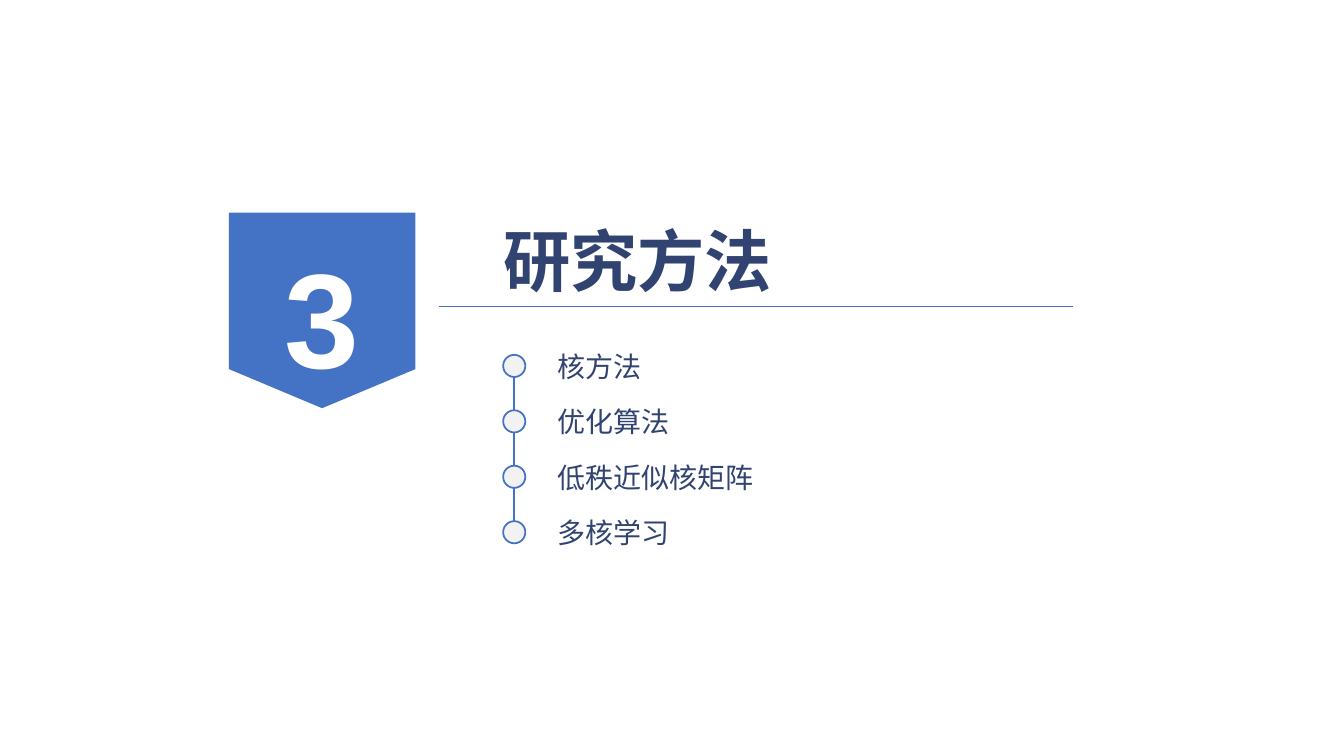
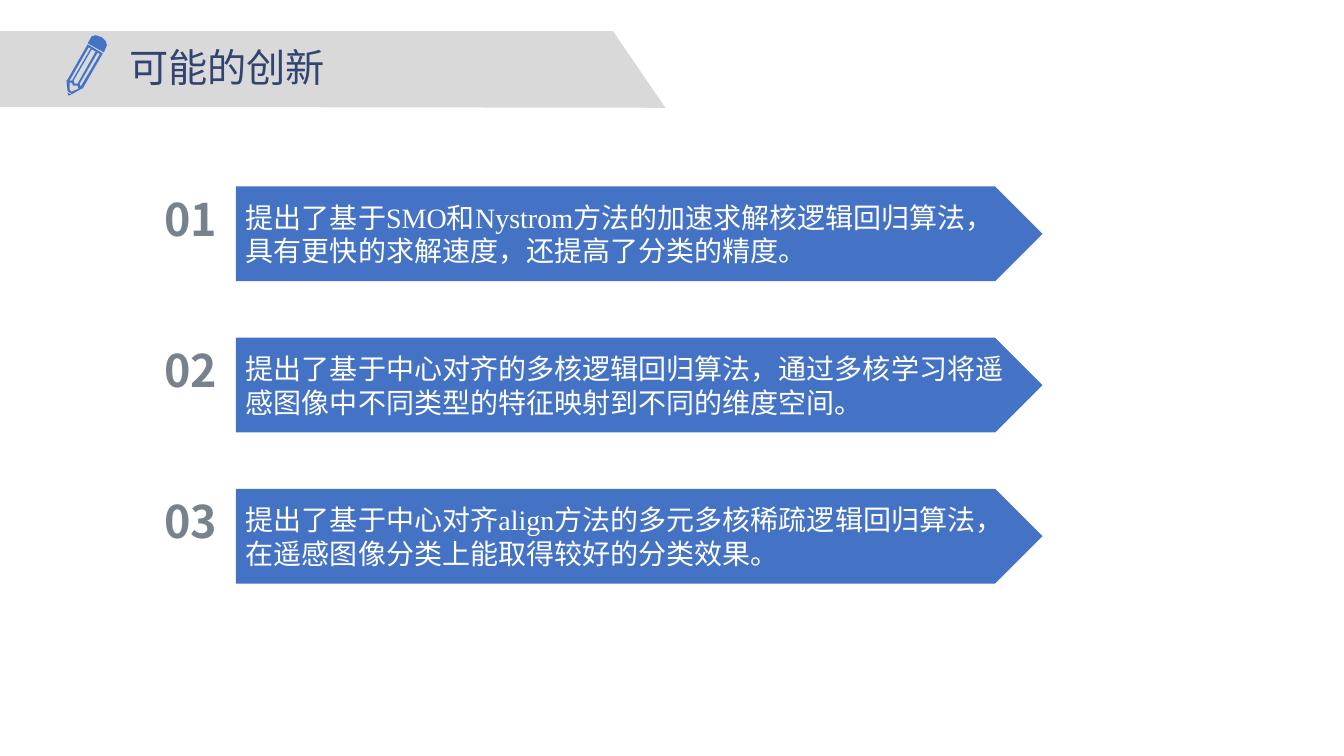
"""Build a section page and an innovations page that share one theme."""
import dataclasses
import typing

import pptx
import pptx.dml.color
import pptx.enum.shapes
import pptx.enum.text
import pptx.oxml.xmlchemy
import pptx.presentation
import pptx.shapes.autoshape
import pptx.slide
import pptx.util

Inches = pptx.util.Inches
Point = tuple[float, float]
Contour = list[Point]
Shapes = pptx.enum.shapes.MSO_SHAPE
Align = pptx.enum.text.PP_ALIGN
Anchor = pptx.enum.text.MSO_ANCHOR


@dataclasses.dataclass(frozen=True)
class Theme:
    blue: str = "4472C4"
    navy: str = "314371"
    grey: str = "78828C"
    band: str = "D9D9D9"
    dot: str = "F2F2F2"
    white: str = "FFFFFF"
    chinese: str = "Noto Sans CJK SC"
    latin: str = "Times New Roman"
    badge_font: str = "Arial"
    badge_size: int = 96
    section_size: int = 48
    number_size: int = 32
    title_size: int = 28
    body_size: int = 20


THEME = Theme()


@dataclasses.dataclass(frozen=True)
class Style:
    size: int
    color: str
    font: str = THEME.chinese
    bold: bool = False


@dataclasses.dataclass(frozen=True)
class Area:
    left: float
    top: float
    width: float
    height: float

    def lengths(self) -> tuple[int, int, int, int]:
        return (Inches(self.left), Inches(self.top),
                Inches(self.width), Inches(self.height))


@dataclasses.dataclass(frozen=True)
class Innovation:
    number: str
    phrases: tuple[str, ...]


BODY = Style(THEME.body_size, THEME.navy)
BAR = Style(THEME.body_size, THEME.white)
NUMBER = Style(THEME.number_size, THEME.grey, bold=True)
BADGE = Style(THEME.badge_size, THEME.white, THEME.badge_font, True)
SECTION_TITLE = Style(THEME.section_size, THEME.navy, bold=True)
PAGE_TITLE = Style(THEME.title_size, THEME.navy)

METHODS = ("核方法", "优化算法", "低秩近似核矩阵", "多核学习")
INNOVATIONS = (
    Innovation("01", ("提出了基于", "SMO", "和", "Nystrom",
                      "方法的加速求解核逻辑回归算法，具有更快的求解速度，还提高了分类的精度。")),
    Innovation("02", ("提出了基于中心对齐的多核逻辑回归算法，通过多核学习将遥感图像中不同类型的"
                      "特征映射到不同的维度空间。",)),
    Innovation("03", ("提出了基于中心对齐", "align",
                      "方法的多元多核稀疏逻辑回归算法，在遥感图像分类上能取得较好的分类效果。")),
)

BAND: list[Contour] = [[(0, 0.31), (6.08, 0.31), (6.6, 1.07), (0, 1.06)]]
PENCIL_ERASER: list[Contour] = [
    [(0.91, 0.36), (0.95, 0.35), (1.01, 0.37), (1.05, 0.41),
     (1.06, 0.45), (1.03, 0.52), (0.87, 0.43)],
]
PENCIL_BODY: list[Contour] = [
    [(0.66, 0.8), (0.67, 0.9), (0.68, 0.91), (0.71, 0.93), (0.72, 0.93),
     (0.81, 0.88), (0.82, 0.88), (1.02, 0.53), (0.87, 0.44), (0.67, 0.79)],
    [(0.69, 0.8), (0.88, 0.47), (0.9, 0.48), (0.72, 0.79), (0.71, 0.8)],
    [(0.71, 0.91), (0.69, 0.89), (0.69, 0.82), (0.71, 0.82), (0.73, 0.85),
     (0.77, 0.85), (0.78, 0.88)],
    [(0.73, 0.8), (0.91, 0.49), (0.95, 0.51), (0.77, 0.83), (0.74, 0.83)],
    [(0.8, 0.86), (0.79, 0.83), (0.97, 0.52), (0.99, 0.54)],
]
PENCIL_TIP: list[Contour] = [[(0.71, 0.94), (0.67, 0.92), (0.68, 0.95)]]


def color(code: str) -> pptx.dml.color.RGBColor:
    return pptx.dml.color.RGBColor.from_string(code)


def add_span(para: typing.Any, text: str, style: Style) -> None:
    span = para.add_run()
    span.text = text
    span.font.size = pptx.util.Pt(style.size)
    span.font.bold = style.bold
    span.font.color.rgb = color(style.color)
    span.font.name = style.font
    east_asian = pptx.oxml.xmlchemy.OxmlElement("a:ea")
    east_asian.set("typeface", style.font)
    span._r.get_or_add_rPr().append(east_asian)


def paint(shape: typing.Any, fill: str, line: str | None = None) -> None:
    shape.shadow.inherit = False
    shape.fill.solid()
    shape.fill.fore_color.rgb = color(fill)
    if line is None:
        shape.line.fill.background()
    else:
        shape.line.color.rgb = color(line)
        shape.line.width = pptx.util.Pt(1.25)


def add_preset(page: pptx.slide.Slide, kind: Shapes, area: Area, fill: str,
               line: str | None = None) -> pptx.shapes.autoshape.Shape:
    shape = page.shapes.add_shape(kind, *area.lengths())
    paint(shape, fill, line)
    return shape


def add_outline(page: pptx.slide.Slide, contours: list[Contour], fill: str) -> None:
    units = [[(round(x * 100), round(y * 100)) for x, y in contour]
             for contour in contours]
    builder = page.shapes.build_freeform(*units[0][0], scale=Inches(0.01))
    for index, contour in enumerate(units):
        if index:
            builder.move_to(*contour[0])
        builder.add_line_segments(contour[1:], close=True)
    paint(builder.convert_to_shape(), fill)


def add_line(page: pptx.slide.Slide, start: Point, end: Point, width: float) -> None:
    line = page.shapes.add_connector(
        pptx.enum.shapes.MSO_CONNECTOR.STRAIGHT,
        *(Inches(value) for value in (*start, *end)))
    line.line.color.rgb = color(THEME.blue)
    line.line.width = pptx.util.Pt(width)
    line.element.spPr.append(pptx.oxml.xmlchemy.OxmlElement("a:effectLst"))


def place(box: typing.Any, area: Area) -> None:
    box.left, box.top, box.width, box.height = area.lengths()
    frame = box.text_frame
    frame.auto_size = pptx.enum.text.MSO_AUTO_SIZE.NONE
    frame.vertical_anchor = Anchor.TOP
    frame.word_wrap = True


def set_title(page: pptx.slide.Slide, text: str, area: Area, style: Style) -> None:
    title = page.shapes.title
    place(title, area)
    para = title.text_frame.paragraphs[0]
    para.alignment = Align.LEFT
    add_span(para, text, style)
    title.element.getparent().append(title.element)


def fill_list(box: typing.Any, items: tuple[str, ...], area: Area, step: float) -> None:
    place(box, area)
    frame = box.text_frame
    frame.margin_left = frame.margin_right = Inches(0.13)
    frame.margin_top = frame.margin_bottom = 0
    for index, item in enumerate(items):
        para = frame.add_paragraph() if index else frame.paragraphs[0]
        para.line_spacing = Inches(step)
        para.space_before = para.space_after = pptx.util.Pt(0)
        properties = para._p.get_or_add_pPr()
        properties.set("marL", "0")
        properties.set("indent", "0")
        properties.append(pptx.oxml.xmlchemy.OxmlElement("a:buNone"))
        add_span(para, item, BODY)


def build_section(deck: pptx.presentation.Presentation) -> None:
    page = deck.slides.add_slide(deck.slide_layouts[1])
    badge = add_preset(page, Shapes.FLOWCHART_OFFPAGE_CONNECTOR,
                       Area(2.27, 2.11, 1.85, 1.94), THEME.blue)
    badge.text_frame.vertical_anchor = Anchor.MIDDLE
    para = badge.text_frame.paragraphs[0]
    para.alignment = Align.CENTER
    para.line_spacing = 1.3
    add_span(para, "3", BADGE)
    add_line(page, (4.35, 3.04), (10.64, 3.04), 1)
    set_title(page, "研究方法", Area(4.89, 2.13, 4, 0.91), SECTION_TITLE)

    step, dot, left, top = 0.55, 0.22, 4.99, 3.52
    fill_list(page.placeholders[1], METHODS,
              Area(5.4, 3.25, 3.5, step * len(METHODS)), step)
    middle = left + dot / 2
    first = top + dot / 2
    add_line(page, (middle, first), (middle, first + step * (len(METHODS) - 1)), 1.25)
    for index in range(len(METHODS)):
        add_preset(page, Shapes.OVAL, Area(left, top + index * step, dot, dot),
                   THEME.dot, THEME.blue)


def add_innovation(page: pptx.slide.Slide, entry: Innovation, top: float) -> None:
    box = page.shapes.add_textbox(*Area(1.51, top, 0.76, 0.64).lengths())
    box.text_frame.word_wrap = False
    para = box.text_frame.paragraphs[0]
    para.alignment = Align.CENTER
    add_span(para, entry.number, NUMBER)

    bar = add_preset(page, Shapes.PENTAGON, Area(2.34, top, 8, 0.94), THEME.blue)
    bar.text_frame.vertical_anchor = Anchor.MIDDLE
    para = bar.text_frame.paragraphs[0]
    para.alignment = Align.LEFT
    for phrase in entry.phrases:
        font = THEME.latin if phrase.isascii() else THEME.chinese
        add_span(para, phrase, dataclasses.replace(BAR, font=font))


def build_innovations(deck: pptx.presentation.Presentation) -> None:
    page = deck.slides.add_slide(deck.slide_layouts[5])
    add_outline(page, BAND, THEME.band)
    for contours in (PENCIL_ERASER, PENCIL_BODY, PENCIL_TIP):
        add_outline(page, contours, THEME.blue)
    set_title(page, "可能的创新", Area(1.18, 0.38, 4, 0.57), PAGE_TITLE)
    for index, entry in enumerate(INNOVATIONS):
        add_innovation(page, entry, 1.85 + index * 1.5)


def main() -> None:
    deck = pptx.Presentation()
    deck.slide_width, deck.slide_height = Inches(13.33), Inches(7.5)
    build_section(deck)
    build_innovations(deck)
    deck.save("out.pptx")


if __name__ == "__main__":
    main()
